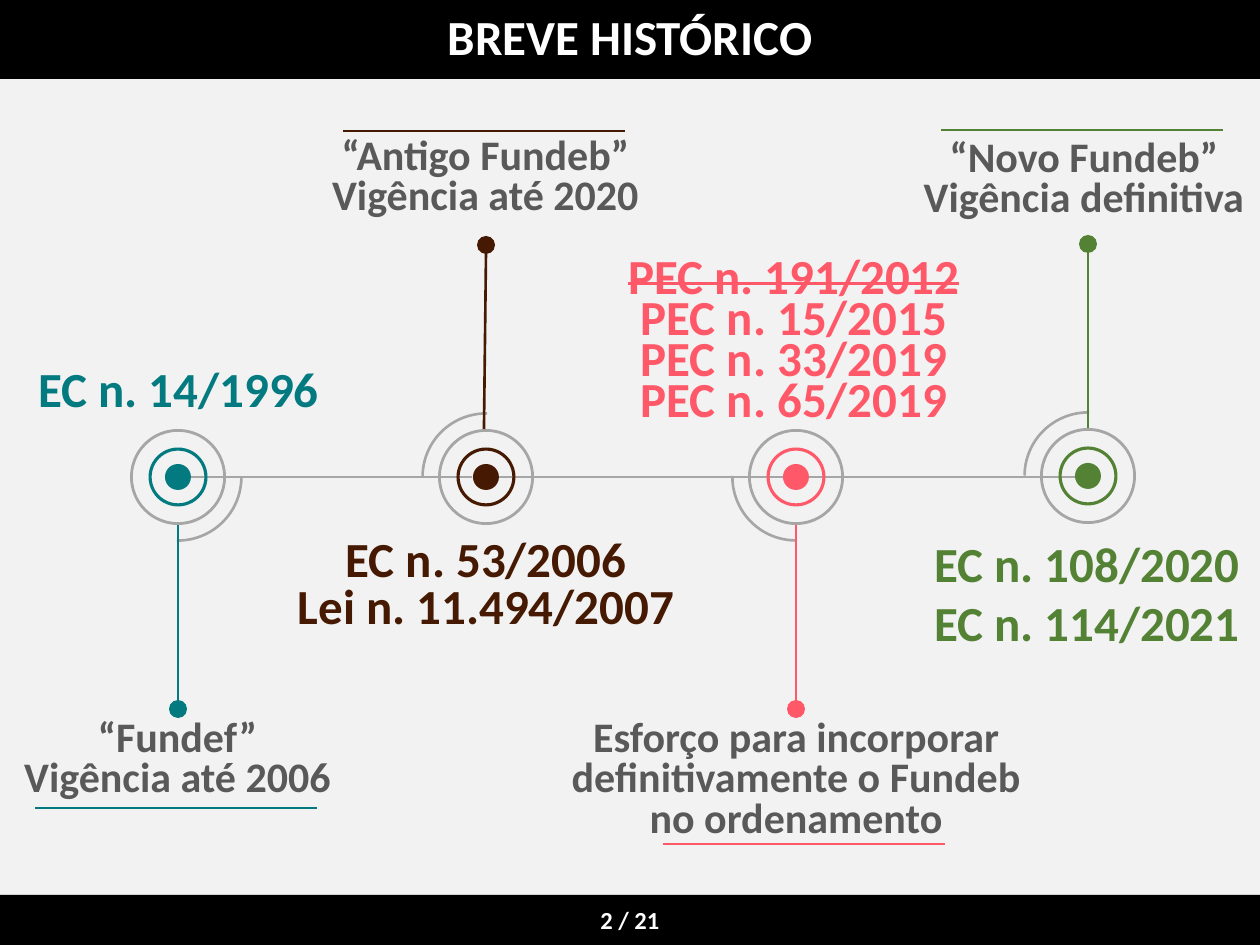
from dataclasses import dataclass

from lxml import etree
from pptx import Presentation
from pptx import util as u
from pptx.dml.color import RGBColor
from pptx.enum import shapes, text
from pptx.oxml.ns import qn

PX = 914400 / 126
WIDTH, HEIGHT = 1260, 945

BLACK = RGBColor(0x00, 0x00, 0x00)
WHITE = RGBColor(0xFF, 0xFF, 0xFF)
PAPER = RGBColor(0xF2, 0xF2, 0xF2)
GRAY = RGBColor(0xA6, 0xA6, 0xA6)
DARK_GRAY = RGBColor(0x59, 0x59, 0x59)
TEAL = RGBColor(0x02, 0x7A, 0x80)
BROWN = RGBColor(0x46, 0x1A, 0x02)
PINK = RGBColor(0xFF, 0x59, 0x69)
GREEN = RGBColor(0x54, 0x82, 0x35)

AXIS_Y = 477
AXIS_STARTS = (184, 495, 796)
AXIS_LENGTH = 288
RULE_LENGTH = 282
STEM_START, STEM_END, PIN_OFFSET = 48, 224, 232


@dataclass
class Milestone:
    color: RGBColor
    x: int
    y: int
    stem_x: int
    direction: int  # -1 points the stem up, 1 points it down
    arc_rotation: int
    laws: list
    laws_box: tuple
    laws_spacing: float
    caption: list
    caption_box: tuple
    rule_start: tuple
    struck: tuple = ()


MILESTONES = [
    Milestone(TEAL, 178, AXIS_Y, 178, 1, 270,
              ["EC n. 14/1996"], (0, 352, 357, 72), 1.0,
              ["“Fundef”", "Vigência até 2006"], (5, 714, 345, 95), (35, 808)),
    Milestone(BROWN, 486, AXIS_Y, 484, -1, 90,
              ["EC n. 53/2006", "Lei n. 11.494/2007"], (244, 534, 484, 108), 0.8,
              ["“Antigo Fundeb”", "Vigência até 2020"], (291, 132, 389, 95), (343, 131)),
    Milestone(PINK, 796, AXIS_Y, 796, 1, 0,
              ["PEC n. 191/2012", "PEC n. 15/2015", "PEC n. 33/2019", "PEC n. 65/2019"],
              (605, 255, 378, 263), 0.7,
              ["Esforço para incorporar definitivamente o Fundeb no ordenamento"],
              (534, 714, 524, 136), (663, 844), ("PEC n. 191/2012",)),
    Milestone(GREEN, 1088, AXIS_Y - 1, 1088, -1, 90,
              ["EC n. 108/2020", "EC n. 114/2021"], (914, 527, 346, 131), 1.0,
              ["“Novo Fundeb”", "Vigência definitiva"], (859, 134, 450, 95), (941, 130)),
]


def px(value):
    return u.Emu(round(value * PX))


def write_lines(frame, lines, size, color, spacing=1.0, struck=()):
    frame.word_wrap = True
    for index, line in enumerate(lines):
        paragraph = frame.paragraphs[0] if index == 0 else frame.add_paragraph()
        paragraph.alignment = text.PP_ALIGN.CENTER
        paragraph.line_spacing = spacing
        font = paragraph.font
        font.name, font.size, font.bold = "Calibri", u.Pt(size), True
        font.color.rgb = color
        run = paragraph.add_run()
        run.text = line
        if line in struck:
            run.font._element.set("strike", "sngStrike")


def add_text(slide, box, lines, size, color, spacing, struck=()):
    textbox = slide.shapes.add_textbox(*map(px, box))
    write_lines(textbox.text_frame, lines, size, color, spacing, struck)


def add_bar(slide, top, height, label, size, spacing=1.0):
    bar = slide.shapes.add_shape(shapes.MSO_SHAPE.RECTANGLE,
                                 px(0), px(top), px(WIDTH), px(height))
    bar.shadow.inherit = False
    bar.fill.solid()
    bar.fill.fore_color.rgb = BLACK
    bar.line.fill.background()
    bar.text_frame.vertical_anchor = text.MSO_ANCHOR.MIDDLE
    write_lines(bar.text_frame, [label], size, WHITE, spacing)


def add_line(slide, start, end, color):
    line = slide.shapes.add_connector(shapes.MSO_CONNECTOR.STRAIGHT,
                                      *map(px, (*start, *end)))
    line.line.color.rgb = color
    line.line.width = u.Pt(1.5)
    etree.SubElement(line._element.spPr, qn("a:effectLst"))


def add_round(slide, kind, center, diameter, color, adjustments=()):
    """Add a circular shape around its center: outlined if an arc, else filled."""
    left, top = (value - diameter / 2 for value in center)
    shape = slide.shapes.add_shape(kind, px(left), px(top), px(diameter), px(diameter))
    shape.shadow.inherit = False
    for index, value in enumerate(adjustments):
        shape.adjustments[index] = value
    if kind == shapes.MSO_SHAPE.ARC:
        shape.fill.background()
        shape.line.color.rgb = color
        shape.line.width = u.Pt(1.5)
    else:
        shape.fill.solid()
        shape.fill.fore_color.rgb = color
        shape.line.fill.background()
    return shape


def add_milestone(slide, item):
    kinds = shapes.MSO_SHAPE
    center = (item.x, item.y)
    arc = add_round(slide, kinds.ARC, center, 127, GRAY, (54.2, 108.53))
    arc.rotation = item.arc_rotation
    add_round(slide, kinds.OVAL, center, 26, item.color)
    add_round(slide, kinds.DONUT, center, 59, item.color, (0.053,))
    add_round(slide, kinds.DONUT, center, 96, GRAY, (0.029,))

    add_line(slide, (item.stem_x, item.y + item.direction * STEM_START),
             (item.x, item.y + item.direction * STEM_END), item.color)
    add_round(slide, kinds.OVAL, (item.x, item.y + item.direction * PIN_OFFSET),
              18, item.color)

    add_text(slide, item.laws_box, item.laws, 28, item.color,
             item.laws_spacing, item.struck)
    add_text(slide, item.caption_box, item.caption, 24, DARK_GRAY, 0.8)
    left, top = item.rule_start
    add_line(slide, (left, top), (left + RULE_LENGTH, top), item.color)


def main():
    presentation = Presentation()
    presentation.slide_width, presentation.slide_height = px(WIDTH), px(HEIGHT)
    slide = presentation.slides.add_slide(presentation.slide_layouts[6])
    slide.background.fill.solid()
    slide.background.fill.fore_color.rgb = PAPER

    add_bar(slide, 0, 79, "BREVE HISTÓRICO", 28, 0.9)
    add_bar(slide, 895, 50, "2 / 21", 14)
    for start in AXIS_STARTS:
        add_line(slide, (start, AXIS_Y), (start + AXIS_LENGTH, AXIS_Y), GRAY)
    for item in MILESTONES:
        add_milestone(slide, item)
    presentation.save("out.pptx")


if __name__ == "__main__":
    main()
